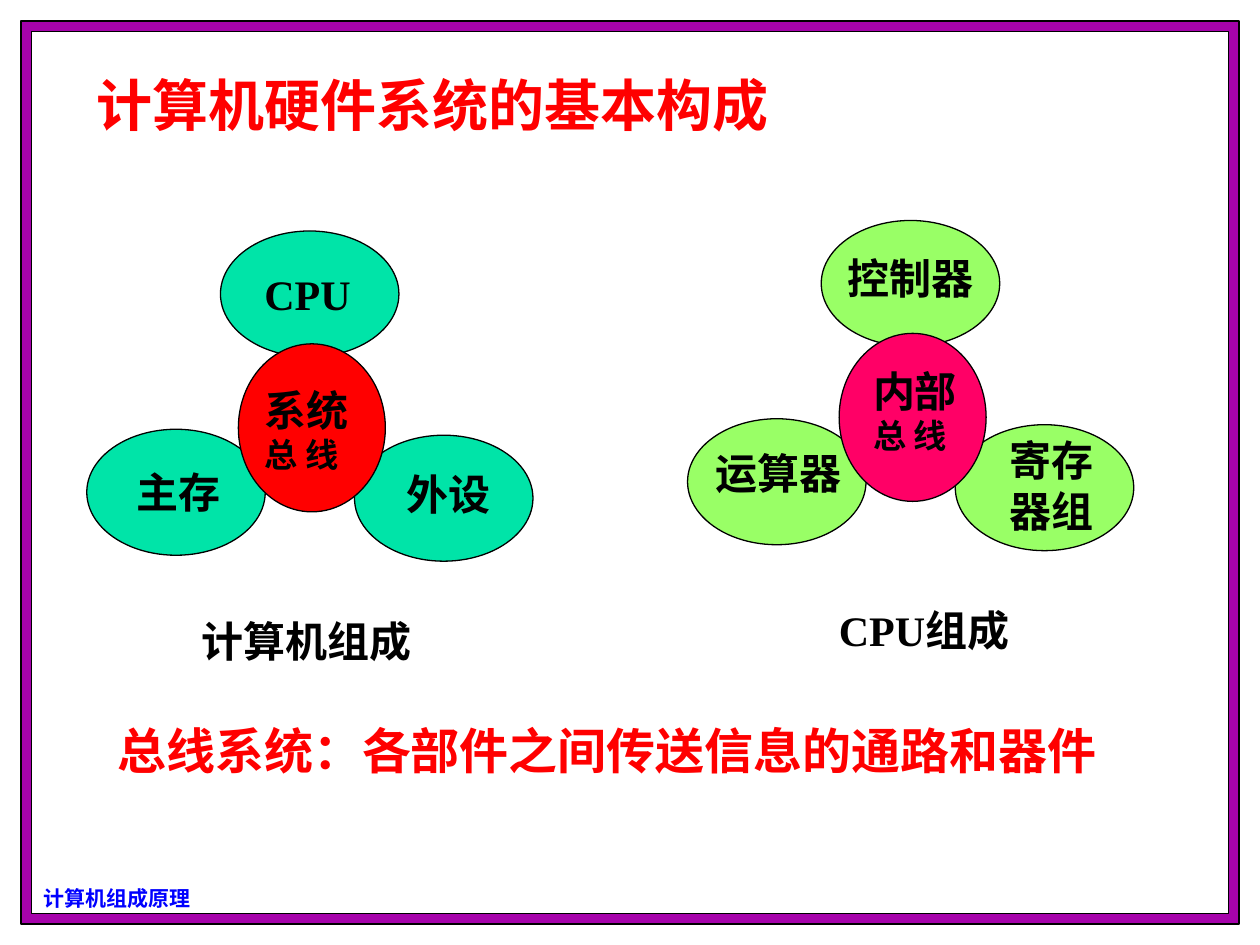
from dataclasses import dataclass

import pptx
import pptx.dml.color
import pptx.enum.lang
import pptx.enum.shapes
import pptx.enum.text
import pptx.oxml.ns
import pptx.shapes.autoshape
import pptx.shapes.group
import pptx.slide
import pptx.text.text
import pptx.util
from lxml import etree

ALIGN = pptx.enum.text.PP_ALIGN
SHAPE = pptx.enum.shapes.MSO_SHAPE


@dataclass(frozen=True)
class Theme:
    black: str = "000000"
    white: str = "FFFFFF"
    red: str = "FF0000"
    blue: str = "0000FF"
    frame: str = "A603AB"
    computer_part: str = "00E4A8"
    processor_part: str = "99FF66"
    processor_bus: str = "FF0066"
    latin: str = "Times New Roman"
    chinese: str = "Noto Sans CJK SC"
    title_size: float = 32
    statement_size: float = 28
    label_size: float = 24
    bus_size: float = 19
    footer_size: float = 12
    outline: float = 0.75


THEME = Theme()


@dataclass(frozen=True)
class Box:
    left: float
    top: float
    width: float
    height: float


@dataclass(frozen=True)
class Run:
    text: str
    size: float = THEME.label_size
    color: str = THEME.black
    font: str = THEME.latin


@dataclass(frozen=True)
class Label:
    box: Box
    runs: tuple[Run, ...]
    align: ALIGN = ALIGN.LEFT
    wrap: bool = True


@dataclass(frozen=True)
class Cluster:
    left: float
    top: float
    part_color: str
    bus_color: str
    labels: tuple[Label, ...]


PART_OFFSETS = ((76.4, 0), (0, 113.3), (153, 116.7))
PART_SIZE = (102, 72)
BUS_OFFSET = (86.6, 64.5)
BUS_SIZE = (84, 96)

CLUSTERS = (
    Cluster(49.6, 132, THEME.computer_part, THEME.red, (
        Label(Box(144, 150, 72, 36), (Run("CPU"),)),
        Label(Box(71, 262.8, 78, 36), (Run("主存"),)),
        Label(Box(225.4, 264.2, 78, 36), (Run("外设"),)),
        Label(Box(144, 216, 66, 59), (Run("系统"), Run("总 线", THEME.bus_size))),
        Label(Box(108, 348, 144, 36), (Run("计算机组成"),)),
    )),
    Cluster(392.9, 126, THEME.processor_part, THEME.processor_bus, (
        Label(Box(491.8, 205.2, 66, 59), (Run("内部"), Run("总 线", THEME.bus_size))),
        Label(Box(477.4, 141, 114, 36), (Run("控制器"),)),
        Label(Box(401.8, 252, 114, 36), (Run("运算器"),)),
        Label(Box(570, 244.8, 78, 65), (Run("寄存器组"),)),
        Label(Box(456, 342, 144, 36), (Run("CPU组成"),), ALIGN.CENTER),
    )),
)

FRAMES = (
    (Box(12, 12, 696, 516), THEME.frame),
    (Box(18, 18, 684, 504), THEME.white),
)
FOOTER = Label(
    Box(18, 502.6, 102, 21.6),
    (Run("计算机组成原理", THEME.footer_size, THEME.blue, THEME.chinese),),
    wrap=False,
)
STATEMENT = Label(
    Box(60, 408, 594, 41),
    (Run("总线系统：各部件之间传送信息的通路和器件", THEME.statement_size, THEME.red),),
)
TITLE = Label(
    Box(48, 36.7, 400, 46),
    (Run("计算机硬件系统的基本构成", THEME.title_size, THEME.red, THEME.chinese),),
    wrap=False,
)

ShapeTree = pptx.shapes.group.GroupShape | pptx.slide.Slide


def place(box: Box) -> tuple[pptx.util.Length, ...]:
    return tuple(
        pptx.util.Pt(length) for length in (box.left, box.top, box.width, box.height)
    )


def rgb(color: str) -> pptx.dml.color.RGBColor:
    return pptx.dml.color.RGBColor.from_string(color)


def add_run(paragraph: pptx.text.text._Paragraph, content: Run) -> None:
    run = paragraph.add_run()
    run.text = content.text
    run.font.name = content.font
    run.font.size = pptx.util.Pt(content.size)
    run.font.bold = True
    run.font.color.rgb = rgb(content.color)
    run.font.language_id = pptx.enum.lang.MSO_LANGUAGE_ID.SIMPLIFIED_CHINESE
    properties = run._r.get_or_add_rPr()
    etree.SubElement(
        properties, pptx.oxml.ns.qn("a:ea"), {"typeface": THEME.chinese}
    )


def fill_text(shape: pptx.shapes.autoshape.Shape, label: Label) -> None:
    frame = shape.text_frame
    frame.word_wrap = label.wrap
    frame.auto_size = pptx.enum.text.MSO_AUTO_SIZE.SHAPE_TO_FIT_TEXT
    frame.vertical_anchor = pptx.enum.text.MSO_ANCHOR.TOP
    paragraph = frame.paragraphs[0]
    paragraph.alignment = label.align
    paragraph.space_before = pptx.util.Pt(0)
    for content in label.runs:
        add_run(paragraph, content)


def add_label(parent: ShapeTree, label: Label) -> None:
    fill_text(parent.shapes.add_textbox(*place(label.box)), label)


def add_outlined(parent: ShapeTree, kind: SHAPE, box: Box, color: str) -> None:
    shape = parent.shapes.add_shape(kind, *place(box))
    shape.shadow.inherit = False
    shape.fill.solid()
    shape.fill.fore_color.rgb = rgb(color)
    shape.line.color.rgb = rgb(THEME.black)
    shape.line.width = pptx.util.Pt(THEME.outline)


def add_cluster(slide: pptx.slide.Slide, cluster: Cluster) -> None:
    group = slide.shapes.add_group_shape()
    ellipses = [(offset, PART_SIZE, cluster.part_color) for offset in PART_OFFSETS]
    ellipses.append((BUS_OFFSET, BUS_SIZE, cluster.bus_color))
    for (across, down), size, color in ellipses:
        box = Box(cluster.left + across, cluster.top + down, *size)
        add_outlined(group, SHAPE.OVAL, box, color)
    for label in cluster.labels:
        add_label(group, label)


def main() -> None:
    presentation = pptx.Presentation()
    presentation.slide_width = pptx.util.Pt(720)
    presentation.slide_height = pptx.util.Pt(540)
    slide = presentation.slides.add_slide(presentation.slide_layouts[5])
    for box, color in FRAMES:
        add_outlined(slide, SHAPE.RECTANGLE, box, color)
    add_label(slide, FOOTER)
    for cluster in CLUSTERS:
        add_cluster(slide, cluster)
    add_label(slide, STATEMENT)
    title = slide.shapes.title
    title.left, title.top, title.width, title.height = place(TITLE.box)
    fill_text(title, TITLE)
    slide.shapes._spTree.append(title._element)
    presentation.save("out.pptx")


if __name__ == "__main__":
    main()
